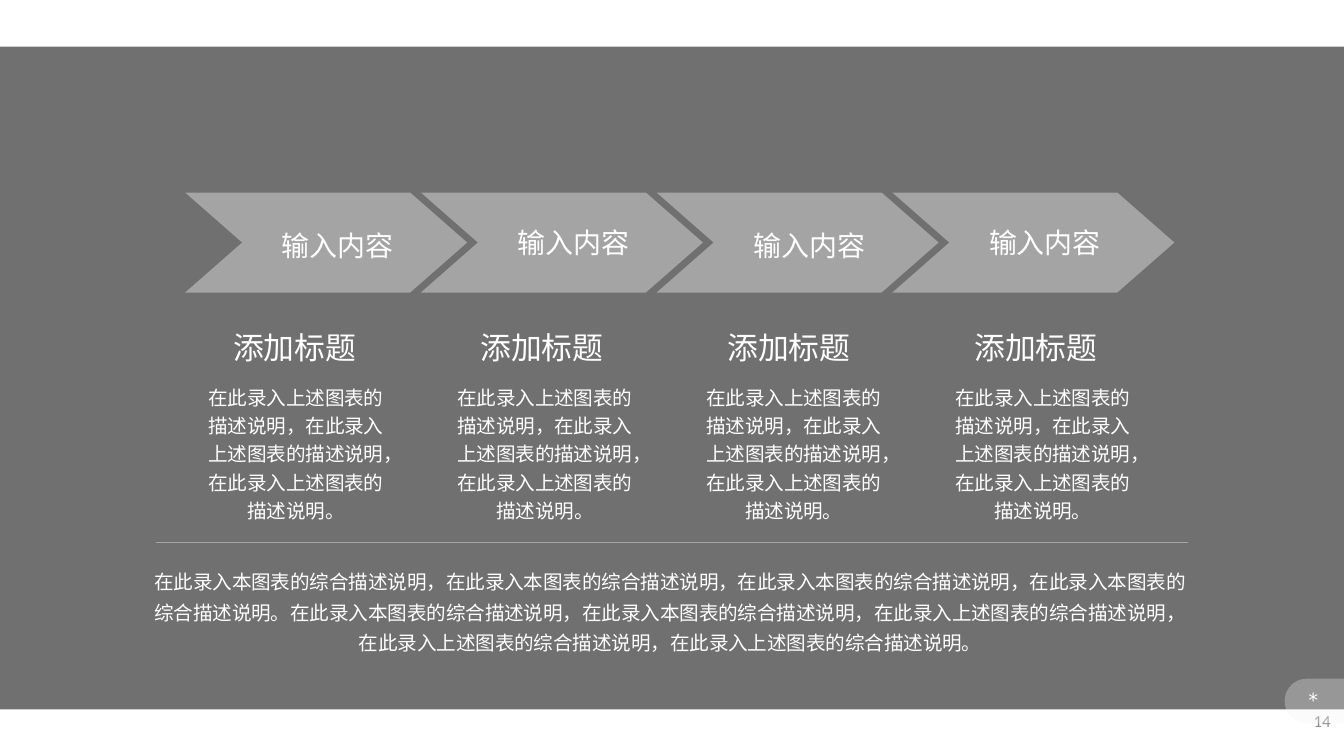
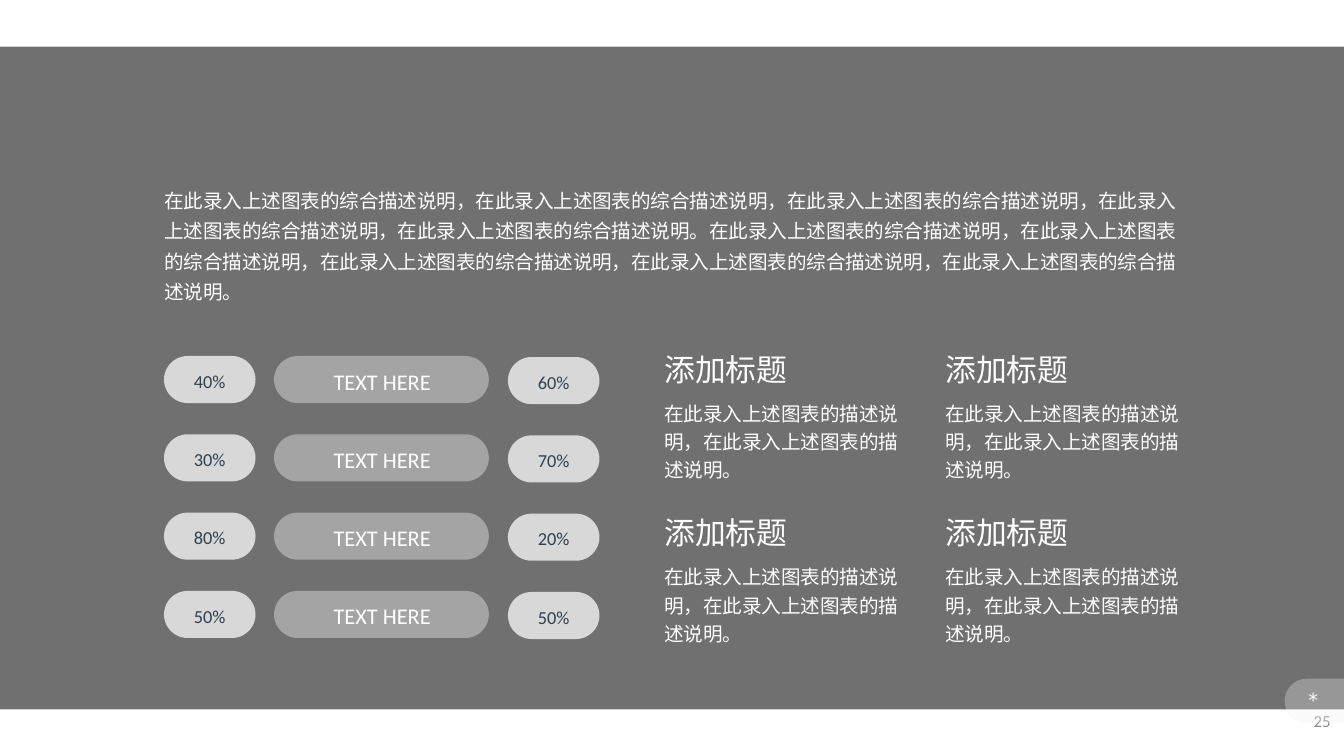
from math import cos, pi, sin

from lxml.etree import SubElement
from pptx import Presentation
from pptx.dml.color import RGBColor
from pptx.enum.shapes import MSO_CONNECTOR, MSO_SHAPE
from pptx.enum.text import MSO_ANCHOR, MSO_AUTO_SIZE, PP_ALIGN
from pptx.oxml.ns import qn
from pptx.util import Cm, Pt

RECT, CHEVRON, PILL = MSO_SHAPE.RECTANGLE, MSO_SHAPE.CHEVRON, MSO_SHAPE.ROUNDED_RECTANGLE
STRAIGHT = MSO_CONNECTOR.STRAIGHT
LEFT, CENTER, RIGHT = PP_ALIGN.LEFT, PP_ALIGN.CENTER, PP_ALIGN.RIGHT
TOP, MIDDLE = MSO_ANCHOR.TOP, MSO_ANCHOR.MIDDLE
GROW, FIXED = MSO_AUTO_SIZE.SHAPE_TO_FIT_TEXT, MSO_AUTO_SIZE.NONE

# Colours and fonts
BLACK = RGBColor(0x00, 0x00, 0x00)
WHITE = RGBColor(0xFF, 0xFF, 0xFF)
PALE = RGBColor(0xF2, 0xF2, 0xF2)
SILVER = RGBColor(0xD8, 0xD8, 0xD8)
RULE_GRAY = RGBColor(0xA5, 0xA5, 0xA5)
NUMBER_GRAY = RGBColor(0x8C, 0x8C, 0x8C)
NAVY = RGBColor(0x32, 0x3F, 0x4F)
LATIN, CJK, MONO = "Calibri", "Noto Sans CJK SC", "DejaVu Sans Mono"

# Text insets in cm: horizontal, vertical
WIDE, NARROW, TIGHT = (0.25, 0.13), (0.19, 0.1), (0.15, 0.08)

# Wording
HEADING = "添加标题"
DETAIL = "在此录入上述图表的描述说明"
THIS_CHART = "在此录入本图表的综合描述说明"
ABOVE_CHART = "在此录入上述图表的综合描述说明"


def paint(sp, color, alpha=100):
    """Flat fill without outline or shadow; alpha in percent."""
    sp.shadow.inherit = False
    sp.line.fill.background()
    sp.fill.solid()
    sp.fill.fore_color.rgb = color
    if alpha < 100:
        clr = sp._element.spPr.find(qn("a:solidFill"))[0]
        SubElement(clr, qn("a:alpha"), val=str(alpha * 1000))


def add_block(shapes, kind, x, y, w, h, color, alpha=100, adj=None):
    sp = shapes.add_shape(kind, Cm(x), Cm(y), Cm(w), Cm(h))
    if adj is not None:
        sp.adjustments[0] = adj
    paint(sp, color, alpha)


def add_text(shapes, text, x, y, w, h, size, font=CJK, color=WHITE, align=CENTER,
             spacing=None, insets=NARROW, anchor=TOP, wrap=True, fit=GROW):
    tf = shapes.add_textbox(Cm(x), Cm(y), Cm(w), Cm(h)).text_frame
    tf.word_wrap, tf.auto_size, tf.vertical_anchor = wrap, fit, anchor
    tf.margin_left = tf.margin_right = Cm(insets[0])
    tf.margin_top = tf.margin_bottom = Cm(insets[1])
    p = tf.paragraphs[0]
    p.text = text
    p.alignment = align
    if spacing:
        p.line_spacing = spacing
    p.font.name, p.font.size = font, Pt(size)
    p.font.color.rgb = color
    if font == CJK:
        SubElement(p._p.pPr.find(qn("a:defRPr")), qn("a:ea"), typeface=font)


def add_rule(shapes, x1, x2, y):
    line = shapes.add_connector(STRAIGHT, Cm(x1), Cm(y), Cm(x2), Cm(y))
    line.line.color.rgb = RULE_GRAY
    line.line.width = Pt(0.5)
    SubElement(line._element.spPr, qn("a:effectLst"))


def add_tab(shapes, x, y, w, h):
    """Corner tab with a half-round left end."""
    radius, steps = h / 2, 24
    arc = [(Cm(x + radius - radius * sin(pi * i / steps)),
            Cm(y + radius - radius * cos(pi * i / steps))) for i in range(steps + 1)]
    fb = shapes.build_freeform(*arc[0])
    fb.add_line_segments(arc[1:] + [(Cm(x + w), Cm(y + h)), (Cm(x + w), Cm(y))])
    paint(fb.convert_to_shape(), PALE, 30)


def new_slide(prs, number):
    """Blank slide with the gray band, page number and corner tab."""
    s = prs.slides.add_slide(prs.slide_layouts[6])
    add_block(s.shapes, RECT, 0, 0.88, 25.4, 12.53, BLACK, 56)
    add_text(s.shapes, number, 19.69, 13.24, 5.71, 0.76, 9, LATIN, NUMBER_GRAY, RIGHT,
             insets=WIDE, anchor=MIDDLE, fit=FIXED)
    add_tab(s.shapes, 24.28, 12.83, 1.32, 0.84)
    add_text(s.shapes, "* ", 24.46, 12.93, 0.94, 0.58, 10.5, MONO, insets=TIGHT)
    return s


def add_step(s, i, label):
    """Chevron i of the process; label is left, top, width, height, spacing."""
    shapes = s.shapes.add_group_shape().shapes
    add_block(shapes, CHEVRON, 3.5 + 4.455 * i, 3.64, 5.33, 1.89, PALE, 40, adj=0.57)
    x, y, w, h, spacing = label
    add_text(shapes, "输入内容", x, y, w, h, 15, LATIN, spacing=spacing,
             insets=WIDE, anchor=MIDDLE)


def add_share_row(s, y, left, right):
    """Two percentages on either side of a labelled pill."""
    shapes = s.shapes.add_group_shape().shapes
    add_block(shapes, PILL, 5.18, y, 4.06, 0.89, PALE, 40, adj=0.5)
    shares = ((3.1, y, left), (9.6, y + 0.02, right))
    for x, top, _ in shares:
        add_block(shapes, PILL, x, top, 1.73, 0.89, SILVER, adj=0.5)
    add_text(shapes, "TEXT HERE", 5.51, y + 0.09, 3.43, 0.76, 12, LATIN, insets=WIDE)
    for x, top, share in shares:
        add_text(shapes, share, x, top + 0.05, 1.73, 0.76, 9.8, LATIN, NAVY,
                 spacing=1.2, insets=WIDE)


def build_process(prs):
    s = new_slide(prs, "14")

    # Chevrons
    labels = [(4.06, 4.06, 4.65, 1.02, 1.2), (8.59, 4.14, 4.5, 0.89, None),
              (13.08, 4.06, 4.45, 1.02, 1.2), (17.5, 4.14, 4.5, 0.89, None)]
    for i, label in enumerate(labels):
        add_step(s, i, label)

    # Summary
    summary = "，".join([THIS_CHART] * 4) + "。"
    summary += "，".join([THIS_CHART] * 2 + [ABOVE_CHART] * 3) + "。"
    add_text(s.shapes, summary, 2.64, 10.54, 20.07, 1.93, 10.5, spacing=1.3)

    # Columns
    for i in range(4):
        add_text(s.shapes, HEADING, 4.2 + 4.67 * i, 6.12, 2.74, 0.89, 16.5, wrap=False)
        add_text(s.shapes, "，".join([DETAIL] * 3) + "。", 3.63 + 4.705 * i, 7.11,
                 3.93, 2.9, 10.5, spacing=1.2)
    add_rule(s.shapes, 2.95, 22.45, 10.26)


def build_shares(prs):
    s = new_slide(prs, "25")

    # Percentages
    shares = [("40%", "60%"), ("30%", "70%"), ("80%", "20%"), ("50%", "50%")]
    for i, (left, right) in enumerate(shares):
        add_share_row(s, 6.73 + 1.48 * i, left, right)

    # Summary
    half = "，".join([ABOVE_CHART] * 5) + "。"
    add_text(s.shapes, half * 2, 2.92, 3.33, 19.81, 2.51, 10.5, align=LEFT, spacing=1.3)

    # Grid of remarks
    for y in (6.53, 9.62):
        for x in (12.37, 17.68):
            add_text(s.shapes, HEADING, x, y, 3.23, 0.89, 16.5, align=LEFT)
            add_text(s.shapes, "，".join([DETAIL] * 2) + "。", x, y + 0.88, 4.95, 1.8,
                     10.5, align=LEFT, spacing=1.2)


def main():
    prs = Presentation()
    prs.slide_width, prs.slide_height = Cm(25.4), Cm(14.29)
    build_process(prs)
    build_shares(prs)
    prs.save("out.pptx")


if __name__ == "__main__":
    main()
